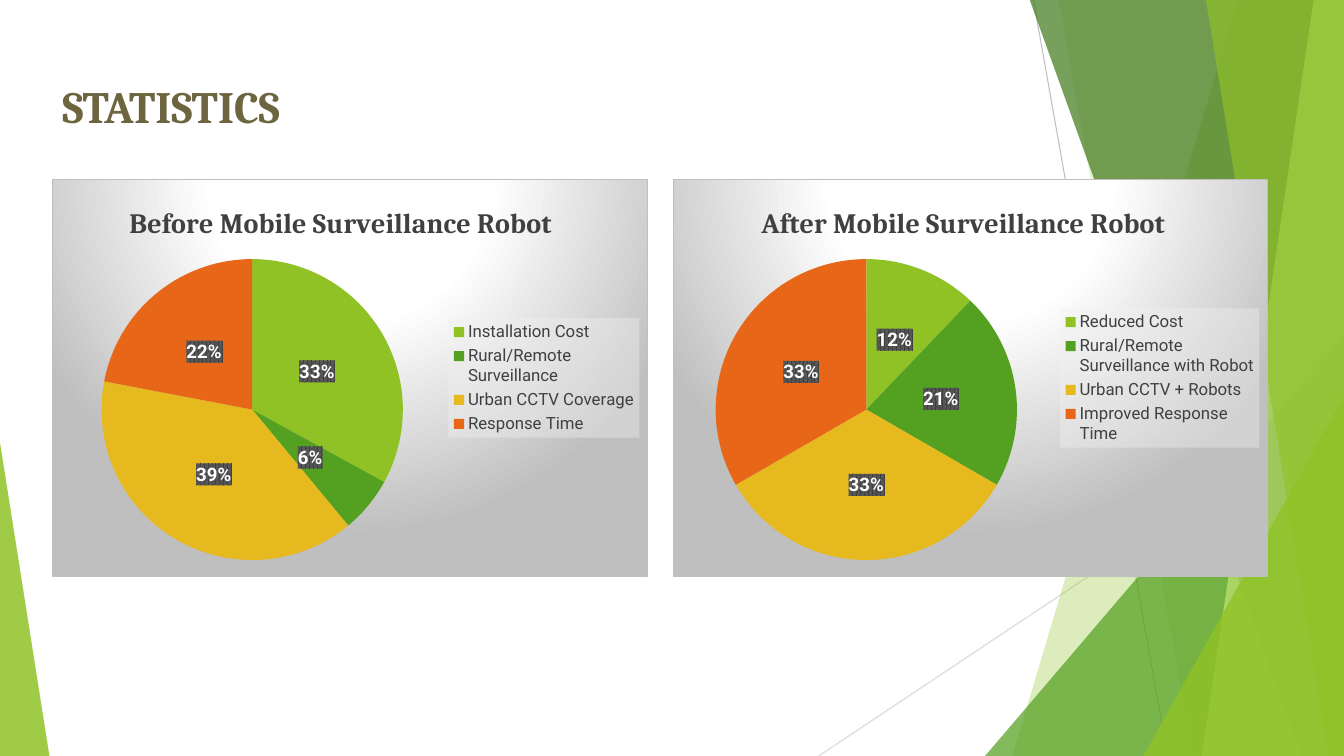
from pptx import Presentation
from pptx.chart.data import CategoryChartData
from pptx.dml.color import RGBColor
from pptx.enum.chart import XL_CHART_TYPE, XL_LABEL_POSITION, XL_LEGEND_POSITION
from pptx.enum.shapes import MSO_CONNECTOR, MSO_SHAPE
from pptx.enum.text import MSO_ANCHOR
from pptx.oxml import parse_xml
from pptx.oxml.ns import nsdecls, qn
from pptx.util import Inches, Pt

PIE = XL_CHART_TYPE.PIE
CENTER = XL_LABEL_POSITION.CENTER
RIGHT = XL_LEGEND_POSITION.RIGHT
STRAIGHT = MSO_CONNECTOR.STRAIGHT
TRIANGLE = MSO_SHAPE.ISOSCELES_TRIANGLE
MIDDLE = MSO_ANCHOR.MIDDLE

LIME = RGBColor(0x90, 0xC2, 0x26)
GREEN = RGBColor(0x54, 0xA0, 0x21)
DARK_GREEN = RGBColor(0x3F, 0x78, 0x19)
PALE_LIME = RGBColor(0xC0, 0xE4, 0x74)
GOLD = RGBColor(0xE6, 0xB9, 0x1E)
ORANGE = RGBColor(0xE7, 0x66, 0x18)
OLIVE = RGBColor(0x6D, 0x65, 0x40)
CHARCOAL = RGBColor(0x40, 0x40, 0x40)
SILVER = RGBColor(0xBF, 0xBF, 0xBF)
LIGHT_GRAY = RGBColor(0xD9, 0xD9, 0xD9)
WHITE = RGBColor(0xFF, 0xFF, 0xFF)
BLACK = RGBColor(0, 0, 0)

SLICE_COLORS = [LIME, GREEN, GOLD, ORANGE]
HEADING_FONT, BODY_FONT = "Cambria", "Roboto"
W, H = 13.33, 7.5

PANEL_FILL = f"""<a:gradFill><a:gsLst>
<a:gs pos="0"><a:srgbClr val="{WHITE}"/></a:gs>
<a:gs pos="39000"><a:srgbClr val="{WHITE}"/></a:gs>
<a:gs pos="100000"><a:srgbClr val="{SILVER}"/></a:gs></a:gsLst>
<a:path path="circle"><a:fillToRect l="50000" t="-80000" r="50000" b="180000"/></a:path>
</a:gradFill><a:ln w="9525"><a:solidFill><a:srgbClr val="{SILVER}"/></a:solidFill></a:ln>"""
LEGEND_FILL = """<a:solidFill><a:srgbClr val="F2F2F2"><a:alpha val="39000"/></a:srgbClr>
</a:solidFill><a:ln><a:noFill/></a:ln>"""
LABEL_FILL = f"""<a:pattFill prst="pct75"><a:fgClr><a:srgbClr val="{CHARCOAL}"/></a:fgClr>
<a:bgClr><a:srgbClr val="595959"/></a:bgClr></a:pattFill><a:ln><a:noFill/></a:ln>"""


def paint(sp, color, opacity):
    """Give a shape a see-through fill and no outline; opacity is in percent."""
    sp.shadow.inherit = False
    sp.line.fill.background()
    sp.fill.solid()
    sp.fill.fore_color.rgb = color
    clr = sp.element.spPr.find(qn("a:solidFill"))[0]
    clr.append(parse_xml(f'<a:alpha {nsdecls("a")} val="{opacity * 1000}"/>'))


def add_thin_line(s, start, end, color):
    line = s.shapes.add_connector(STRAIGHT, *map(Inches, start + end))
    line.line.color.rgb = color
    line.line.width = Pt(0.75)
    line.element.spPr.append(parse_xml(f'<a:effectLst {nsdecls("a")}/>'))


def add_band(s, top_x, bottom_x, color, opacity):
    """Fill from a slanted left edge to the right edge of the slide."""
    points = [(top_x, -0.01), (W, -0.01), (W, H), (bottom_x, H)]
    points = [(Inches(x), Inches(y)) for x, y in points]
    builder = s.shapes.build_freeform(*points[0])
    builder.add_line_segments(points[1:], close=True)
    paint(builder.convert_to_shape(), color, opacity)


def add_corner(s, left, top, width, apex, color, opacity):
    """Right-angled triangle standing on the bottom of the slide."""
    sp = s.shapes.add_shape(TRIANGLE, Inches(left), Inches(top),
                            Inches(width), Inches(H - top))
    sp.adjustments[0] = apex
    paint(sp, color, opacity)


def add_facets(s):
    add_thin_line(s, (10.25, 0), (11.58, H), SILVER)
    add_thin_line(s, (W, 4.03), (8.12, H), LIGHT_GRAY)
    add_band(s, 12.28, 10.04, LIME, 30)
    add_band(s, 10.5, 11.83, LIME, 20)
    add_corner(s, 9.77, 3.33, 3.56, 1, GREEN, 72)
    add_band(s, 10.21, 12.91, DARK_GREEN, 70)
    add_band(s, 13.03, 11.92, PALE_LIME, 70)
    add_band(s, 11.96, 13.18, LIME, 65)
    add_corner(s, 11.34, 3.93, 1.99, 1, LIME, 80)
    add_corner(s, 0, 4.39, 0.49, 0, LIME, 85)


def set_font(font, name, size, color, bold=False):
    font.name, font.size, font.bold = name, Pt(size), bold
    font.color.rgb = color


def add_heading(s, left, top, width, height, text):
    box = s.shapes.add_textbox(*map(Inches, (left, top, width, height)))
    tf = box.text_frame
    tf.word_wrap = True
    tf.vertical_anchor = MIDDLE
    r = tf.paragraphs[0].add_run()
    r.text = text
    set_font(r.font, HEADING_FONT, 32, OLIVE, True)


def add_background(txPr, fill):
    """Put a background just before the text properties of a chart part."""
    txPr.addprevious(parse_xml(f'<c:spPr {nsdecls("c", "a")}>{fill}</c:spPr>'))


def make_layout(target="", **fractions):
    inner = f'<c:layoutTarget val="{target}"/>' if target else ""
    inner += "".join(f'<c:{k}Mode val="edge"/>' for k in "xy")
    inner += "".join(f'<c:{k} val="{v}"/>' for k, v in fractions.items())
    return parse_xml(f'<c:layout {nsdecls("c")}><c:manualLayout>{inner}'
                     "</c:manualLayout></c:layout>")


def place(parent, layout, after=None):
    for old in parent.findall(qn("c:layout")):
        parent.remove(old)
    if after is None:
        parent.insert(0, layout)
    else:
        after.addnext(layout)


def add_pie_panel(s, left, top, width, height, title, title_x, pie_x, shares):
    data = CategoryChartData()
    data.categories = list(shares)
    data.add_series("Series 1", list(shares.values()))
    frame = s.shapes.add_chart(PIE, *map(Inches, (left, top, width, height)), data)
    chart = frame.chart
    set_font(chart.font, BODY_FONT, 10, BLACK)

    chart.has_title = True
    r = chart.chart_title.text_frame.paragraphs[0].add_run()
    r.text = title
    set_font(r.font, HEADING_FONT, 20, CHARCOAL, True)
    chart.chart_title.include_in_layout = False

    chart.has_legend = True
    chart.legend.position = RIGHT
    chart.legend.include_in_layout = False
    set_font(chart.legend.font, BODY_FONT, 12, CHARCOAL)

    plot = chart.plots[0]
    plot.vary_by_categories = True
    for i, color in enumerate(SLICE_COLORS):
        fill = plot.series[0].points[i].format.fill
        fill.solid()
        fill.fore_color.rgb = color
    labels = plot.series[0].data_labels
    labels.show_percentage = True
    labels.show_value = False
    labels.number_format = "0%"
    labels.number_format_is_linked = False
    labels.position = CENTER
    set_font(labels.font, BODY_FONT, 13.3, WHITE, True)

    root = chart.element
    add_background(root.find(qn("c:txPr")), PANEL_FILL)
    add_background(root.find(".//" + qn("c:legend")).find(qn("c:txPr")), LEGEND_FILL)
    add_background(root.find(".//" + qn("c:dLbls")).find(qn("c:txPr")), LABEL_FILL)
    place(root.find(".//" + qn("c:plotArea")),
          make_layout("inner", x=pie_x, y=0.2, w=0.51, h=0.76))
    title_el = root.find(".//" + qn("c:title"))
    place(title_el, make_layout(x=title_x, y=0.05), title_el.find(qn("c:tx")))


def main():
    prs = Presentation()
    prs.slide_width, prs.slide_height = Inches(W), Inches(H)
    s = prs.slides.add_slide(prs.slide_layouts[6])
    add_facets(s)
    add_heading(s, 0.52, 0.7, 3.17, 0.7, "STATISTICS")
    add_pie_panel(s, 0.52, 1.78, 5.91, 3.94,
                  "Before Mobile Surveillance Robot", 0.12, 0.08,
                  {"Installation Cost": 33, "Rural/Remote Surveillance": 6,
                   "Urban CCTV Coverage": 39, "Response Time": 22})
    add_pie_panel(s, 6.67, 1.78, 5.91, 3.94,
                  "After Mobile Surveillance Robot", 0.14, 0.07,
                  {"Reduced Cost": 12, "Rural/Remote Surveillance with Robot": 21,
                   "Urban CCTV + Robots": 33, "Improved Response Time": 33})
    prs.save("out.pptx")


if __name__ == "__main__":
    main()
